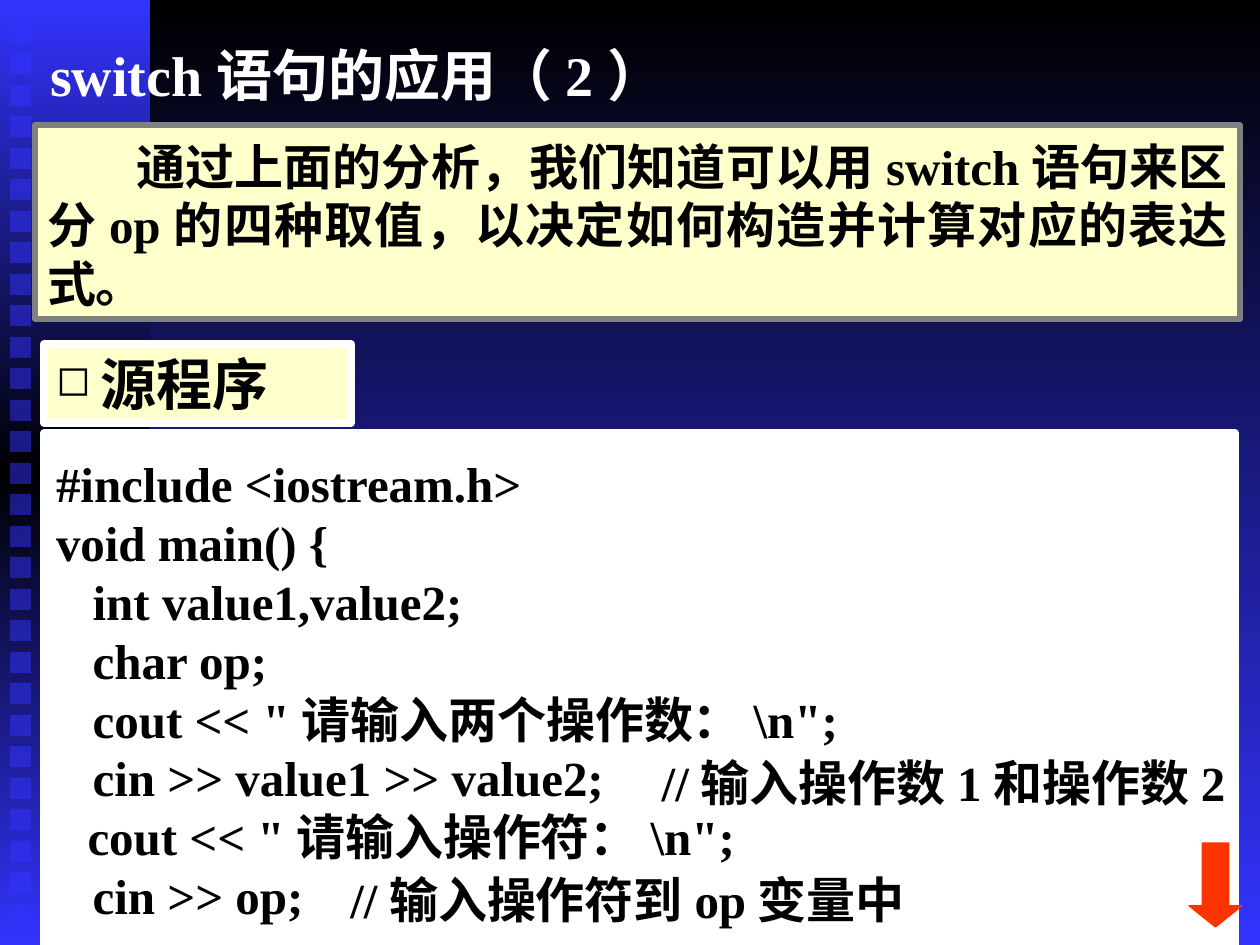
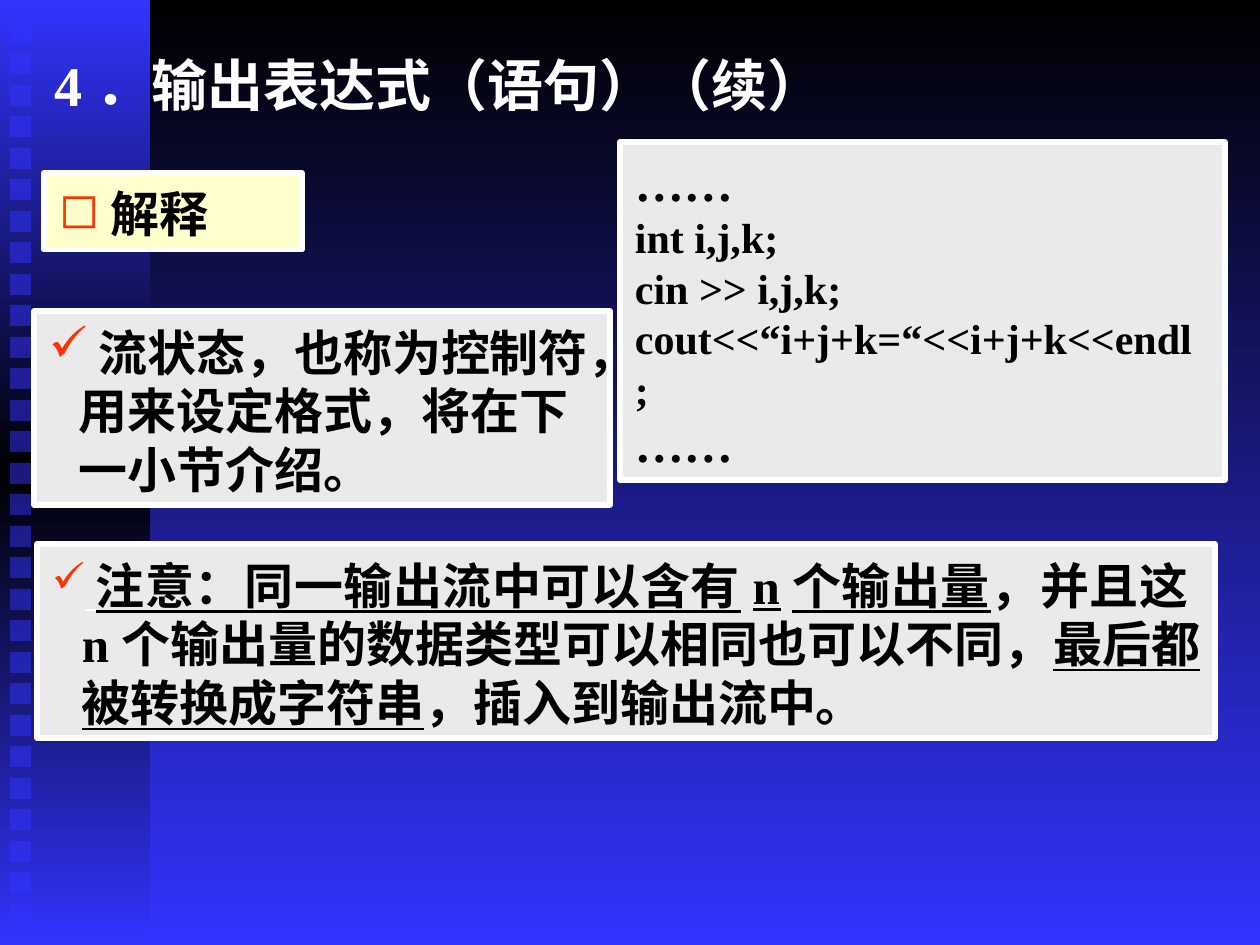
from copy import deepcopy

from lxml import etree
from pptx import Presentation
from pptx import util as u
from pptx.dml.color import RGBColor
from pptx.enum import shapes, text
from pptx.oxml.ns import qn

PX = 914400 / 126
FONT = "Times New Roman"
HUES = {"black": "000000", "white": "FFFFFF", "blue": "3333FF", "cream": "FFFFCC",
        "mist": "EAEAEA", "gray": "808080", "red": "FF3300"}
LEFT, MID, JUST = text.PP_ALIGN.LEFT, text.PP_ALIGN.CENTER, text.PP_ALIGN.JUSTIFY
TOP, CORE = text.MSO_ANCHOR.TOP, text.MSO_ANCHOR.MIDDLE


def px(n):
    return u.Emu(round(n * PX))


def hue(name):
    return RGBColor.from_string(HUES[name])


def put(item, vals):
    for key, val in vals.items():
        setattr(item, key, val)


# Fills
def grad(fill, node, names):
    """Spread the named colours evenly from top to bottom."""
    fill.gradient()
    fill.gradient_angle = 270
    marks = node.xpath(".//a:gs")
    for _ in names[2:]:
        marks[0].addnext(deepcopy(marks[0]))
    for i, (stop, name) in enumerate(zip(fill.gradient_stops, names)):
        stop.position = i / (len(names) - 1)
        stop.color.rgb = hue(name)


def fade(shape, share):
    color = shape.element.xpath("./p:spPr/a:solidFill/a:srgbClr")[0]
    etree.SubElement(color, qn("a:alpha"), val=str(share * 1000))


# Shapes
def form(slide, area, fill, line=None, wide=0, kind=shapes.MSO_SHAPE.RECTANGLE):
    shape = slide.shapes.add_shape(kind, *map(px, area))
    shape.shadow.inherit = False
    shape.fill.solid()
    shape.fill.fore_color.rgb = hue(fill)
    if line:
        shape.line.color.rgb = hue(line)
        shape.line.width = u.Pt(wide)
    else:
        shape.line.fill.background()
    return shape


# Text
def bullet(para, sign, color):
    props = para._p.get_or_add_pPr()
    props.set("marL", str(px(30)))
    props.set("indent", str(-px(30)))
    tint = etree.SubElement(props, qn("a:buClr"))
    etree.SubElement(tint, qn("a:srgbClr"), val=HUES[color])
    etree.SubElement(props, qn("a:buChar"), char=sign)


def write(shape, lines, size=28, color="black", align=LEFT, anchor=TOP,
          pad=(15, 11, 15, 6), wrap=True, mark=None, first=0):
    """Each line is a string or a list of (string, font values) pairs."""
    frame = shape.text_frame
    sides = ("left", "top", "right", "bottom")
    put(frame, {f"margin_{side}": px(n) for side, n in zip(sides, pad)})
    put(frame, {"word_wrap": wrap, "vertical_anchor": anchor,
                "auto_size": text.MSO_AUTO_SIZE.NONE})
    for i, line in enumerate(lines):
        para = frame.add_paragraph() if i else frame.paragraphs[0]
        para.alignment = align
        if mark:
            bullet(para, *mark)
        if first:
            para._p.get_or_add_pPr().set("indent", str(px(first)))
        for words, vals in [(line, {})] if isinstance(line, str) else line:
            run = para.add_run()
            run.text = words
            look = {"name": FONT, "size": size, "bold": True, "color": color, **vals}
            run.font.color.rgb = hue(look.pop("color"))
            look["size"] = u.Pt(look["size"])
            put(run.font, look)


def title(slide, area, words):
    head = slide.shapes.title
    put(head, dict(zip(("left", "top", "width", "height"), map(px, area))))
    write(head, [words], size=32, color="white", anchor=CORE, pad=(12, 6, 12, 6))


def note(slide, area, words):
    box = slide.shapes.add_textbox(*map(px, area))
    write(box, [words], align=MID, anchor=CORE, pad=(0, 6, 0, 6), wrap=False)


# Shared backdrop, kept on the master
def backdrop(master, slide):
    grad(master.background.fill, master.element, ["black", "blue"])
    band = form(slide, (0, 0, 150, 945), "blue")
    grad(band.fill, band.element, ["blue", "black", "blue"])
    parts = [band]
    for i in range(29):
        dot = form(slide, (10, 22 + 63 * i // 2, 21, 21), "blue")
        fade(dot, 50)
        parts.append(dot)
    tree = master.shapes.element
    for i, part in enumerate(parts):
        tree.insert(2 + i, part.element)


def source(slide):
    title(slide, (38, 32, 1071, 84), "switch语句的应用（2）")
    intro = form(slide, (35, 125, 1205, 194), "cream", "gray", 3)
    write(intro, ["通过上面的分析，我们知道可以用switch语句来区分op的四种取值，"
                  "以决定如何构造并计算对应的表达式。"],
          align=JUST, pad=(12, 11, 12, 6), first=89)
    tag = form(slide, (44, 344, 307, 79), "cream", "white", 4.5)
    write(tag, [[(" ", {"size": 24, "color": "white"}), ("源程序", {"size": 32})]],
          anchor=CORE, pad=(12, 6, 12, 6), mark=("◻", "black"))
    # Program listing with its side comments
    code = form(slide, (44, 433, 1191, 512), "white", "white", 4.5)
    write(code, ["#include <iostream.h>",
                 "void main() {",
                 "   int value1,value2;",
                 "   char op;",
                 '   cout << "请输入两个操作数：\\n";',
                 "   cin >> value1 >> value2;",
                 [("   ", {"size": 24}), ('cout << "请输入操作符：\\n";', {})],
                 "   cin >> op;"],
          anchor=CORE, pad=(12, 6, 12, 6))
    arrow = form(slide, (1189, 843, 53, 84), "red", "red", 0.75,
                 shapes.MSO_SHAPE.DOWN_ARROW)
    arrow.adjustments[0], arrow.adjustments[1] = 0.5, 0.4
    note(slide, (660, 750, 567, 63), "//输入操作数1和操作数2")
    note(slide, (323, 867, 609, 63), "//输入操作符到op变量中")


def output(slide):
    title(slide, (42, 53, 798, 63), "4．输出表达式（语句）（续）")
    tag = form(slide, (44, 173, 258, 77), "cream", "white", 3)
    write(tag, [" 解释"], mark=("◻", "red"))
    # Sample code
    code = form(slide, (620, 142, 605, 338), "mist", "white", 3)
    write(code, [[("……", {"size": 28})],
                 "int i,j,k;",
                 "cin >> i,j,k;",
                 "cout<<“i+j+k=“<<i+j+k<<endl ;",
                 [("……", {"size": 28})]], size=24)
    # Remarks
    state = form(slide, (34, 311, 576, 194), "mist", "white", 3)
    write(state, [" 流状态，也称为控制符，用来设定格式，将在下一小节介绍。"],
          mark=("✓", "red"))
    under = {"underline": True}
    care = form(slide, (37, 544, 1178, 194), "mist", "white", 3)
    write(care, [[(" ", {"size": 24, "color": "white", "bold": False, **under}),
                  ("注意：同一输出流中可以含有n个输出量", under),
                  ("，并且这n个输出量的数据类型可以相同也可以不同，", {}),
                  ("最后都被转换成字符串", under),
                  ("，插入到输出流中。", {})]],
          align=JUST, mark=("✓", "red"))


def main():
    deck = Presentation()
    deck.slide_width, deck.slide_height = px(1260), px(945)
    pages = [deck.slides.add_slide(deck.slide_layouts[5]) for _ in range(2)]
    backdrop(deck.slide_master, pages[0])
    source(pages[0])
    output(pages[1])
    deck.save("out.pptx")


if __name__ == "__main__":
    main()
